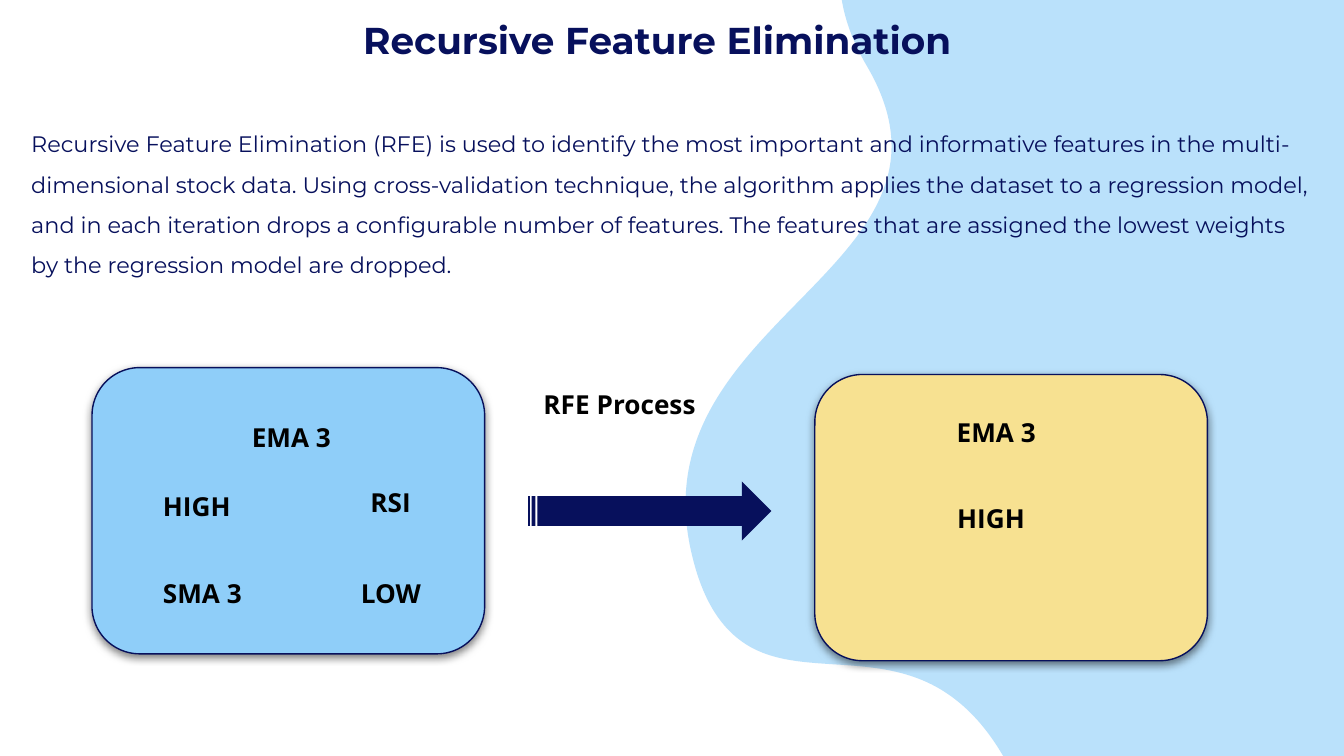
import math

import pptx
import pptx.util
import pptx.dml.color
import pptx.enum.shapes
import pptx.enum.text
import pptx.oxml
import pptx.oxml.ns

Cm, Pt = pptx.util.Cm, pptx.util.Pt
SHAPE = pptx.enum.shapes.MSO_SHAPE
ALIGN = pptx.enum.text.PP_ALIGN
qn = pptx.oxml.ns.qn
NS = pptx.oxml.ns.nsdecls("a")

# Content: boxes are left, top, width, height in cm
SLIDE = (25.4, 14.29)
TITLE = ("Recursive Feature Elimination", (3.05, 0.08, 18.75, 1.6))
BODY = (
    "Recursive Feature Elimination (RFE) is used to identify the most important and "
    "informative features in the multi-dimensional stock data. Using cross-validation "
    "technique, the algorithm applies the dataset to a regression model, and in each "
    "iteration drops a configurable number of features. The features that are assigned "
    "the lowest weights by the regression model are dropped.",
    (0.34, 1.96, 24.71, 3.61),
)
PANEL_SIZE = (7.42, 5.41)
PANELS = [("before", (1.74, 6.95)), ("after", (15.4, 7.08))]
ARROW = (9.98, 9.1, 4.6, 1.12)
LABELS = [
    ("EMA 3", (4.51, 7.72, 3.4, 2.31), ALIGN.LEFT),
    ("SMA 3", (2.83, 10.66, 2.82, 1.7), ALIGN.LEFT),
    ("RSI", (6.75, 8.94, 1.73, 1.7), ALIGN.LEFT),
    ("HIGH", (2.83, 9.02, 2.34, 1.12), ALIGN.LEFT),
    ("LOW", (6.57, 10.66, 1.73, 1.12), ALIGN.LEFT),
    ("EMA 3", (17.83, 7.62, 3.4, 2.31), ALIGN.LEFT),
    ("HIGH", (17.84, 9.25, 2.34, 1.12), ALIGN.LEFT),
    ("RFE Process", (9.64, 7.09, 4.14, 1.12), ALIGN.CENTER),
]

# Wave: unrotated box, turn in degrees, and its outline as it lies on the slide;
# one point is a move or a line, three points are a Bezier curve
WAVE_BOX = (10.82, -0.69, 26.14, 19.81)
WAVE_TURN = 210.7
WAVE = [
    ("moveTo", [(21.39, 19.25)]),
    ("cubicBezTo", [(23.14, 20.29), (25.55, 17.63), (28.42, 18.64)]),
    ("cubicBezTo", [(32.33, 20.02), (33.76, 11.3), (36.37, 11.4)]),
    ("cubicBezTo", [(37.39, 11.43), (38.07, 10.82), (38.56, 10.06)]),
    ("cubicBezTo", [(39.45, 8.64), (39.14, 6.88), (37.92, 6.15)]),
    ("lnTo", [(21.01, -4.01)]),
    ("cubicBezTo", [(21.01, -4.04), (20.98, -4.04), (20.98, -4.04)]),
    ("cubicBezTo", [(20.24, -4.47), (19.3, -4.45), (18.47, -3.94)]),
    ("cubicBezTo", [(16.94, -3.05), (14.91, -1.27), (16.38, 1.24)]),
    ("cubicBezTo", [(18.62, 5.05), (12.07, 5.99), (13.06, 10.41)]),
    ("cubicBezTo", [(13.28, 11.4), (13.67, 11.91), (14.12, 12.19)]),
    ("cubicBezTo", [(15.11, 12.8), (16.54, 12.29), (17.78, 13.03)]),
    ("cubicBezTo", [(18.54, 13.49), (19.23, 14.38), (19.74, 16.28)]),
    ("cubicBezTo", [(20.19, 18.01), (20.75, 18.88), (21.39, 19.25)]),
]

THEME = {
    "navy": "07105C",
    "before": "8FCEF9",
    "after": "F7E191",
    "wave_alpha": 61,
    "title": {"name": "Montserrat", "size": Pt(20), "bold": True, "color": "07105C"},
    "body": {"name": "Montserrat", "size": Pt(12), "bold": False, "color": "07105C"},
    "label": {"name": "Open Sans", "size": Pt(14), "bold": True, "color": "000000"},
}


def rgb(value):
    return pptx.dml.color.RGBColor.from_string(value)


def cm(box):
    return [Cm(v) for v in box]


def place(sp, box):
    for name, value in zip(("left", "top", "width", "height"), cm(box)):
        setattr(sp, name, value)


def write(sp, text, style, align, spacing=1.0):
    tf = sp.text_frame
    frame = {"word_wrap": True, "auto_size": pptx.enum.text.MSO_AUTO_SIZE.NONE,
             "vertical_anchor": pptx.enum.text.MSO_ANCHOR.TOP}
    frame.update({f"margin_{side}": Cm(0.25) for side in ("left", "top", "right", "bottom")})
    for name, value in frame.items():
        setattr(tf, name, value)
    p = tf.paragraphs[0]
    for name, value in {"alignment": align, "line_spacing": spacing,
                        "space_before": Pt(0)}.items():
        setattr(p, name, value)
    r = p.add_run()
    r.text = text
    for name in ("name", "size", "bold"):
        setattr(r.font, name, THEME[style][name])
    r.font.color.rgb = rgb(THEME[style]["color"])


def paint(sp, fill, line=None):
    sp.shadow.inherit = False
    sp.fill.solid()
    sp.fill.fore_color.rgb = rgb(fill)
    if line:
        sp.line.color.rgb = rgb(line)
        sp.line.width = Pt(0.75)
    else:
        sp.line.fill.background()


def add_shadow(sp):
    sp._element.spPr.find(qn("a:effectLst")).append(pptx.oxml.parse_xml(
        f'<a:outerShdw {NS} blurRad="{Pt(4.5)}" dist="{Pt(1.5)}" '
        'dir="5400000" algn="bl" rotWithShape="0">'
        '<a:srgbClr val="000000"><a:alpha val="50000"/></a:srgbClr></a:outerShdw>'))


def add_wave(s):
    left, top, width, height = WAVE_BOX
    angle = math.radians(-WAVE_TURN)
    cos, sin = math.cos(angle), math.sin(angle)

    def point_xml(point):
        """Turn a slide point back into the unrotated box."""
        dx, dy = point[0] - left - width / 2, point[1] - top - height / 2
        x, y = width / 2 + dx * cos - dy * sin, height / 2 + dx * sin + dy * cos
        return f'<a:pt x="{Cm(x)}" y="{Cm(y)}"/>'

    corners = [(left, top), (left + width, top), (left + width, top + height),
               (left, top + height)]
    builder = s.shapes.build_freeform(*cm(corners[0]))
    builder.add_line_segments([cm(corner) for corner in corners[1:]], close=True)
    sp = builder.convert_to_shape()

    # Curved outline in place of the straight one
    outline = sp._element.spPr.find(".//" + qn("a:path"))
    for child in list(outline):
        outline.remove(child)
    for command, points in WAVE:
        inner = "".join(point_xml(point) for point in points)
        outline.append(pptx.oxml.parse_xml(f"<a:{command} {NS}>{inner}</a:{command}>"))
    outline.append(pptx.oxml.parse_xml(f"<a:close {NS}/>"))

    sp.rotation = WAVE_TURN
    paint(sp, THEME["before"])
    sp._element.spPr.find(".//" + qn("a:srgbClr")).append(
        pptx.oxml.parse_xml(f'<a:alpha {NS} val="{THEME["wave_alpha"] * 1000}"/>'))
    s.shapes._spTree.insert(2, sp._element)


prs = pptx.Presentation()
prs.slide_width, prs.slide_height = cm(SLIDE)
s = prs.slides.add_slide(prs.slide_layouts[0])
title, body = s.placeholders

# Background wave, behind everything else
add_wave(s)

# Title and description
for sp, (text, box), style, align, spacing in (
        (title, TITLE, "title", ALIGN.CENTER, 1.0),
        (body, BODY, "body", ALIGN.LEFT, 1.5)):
    place(sp, box)
    write(sp, text, style, align, spacing)

# Feature panels before and after elimination
for fill, corner in PANELS:
    panel = s.shapes.add_shape(SHAPE.ROUNDED_RECTANGLE, *cm(corner + PANEL_SIZE))
    paint(panel, THEME[fill], THEME["navy"])
    add_shadow(panel)

# Labels
for text, box, align in LABELS:
    write(s.shapes.add_textbox(*cm(box)), text, "label", align)

# Process arrow
arrow = s.shapes.add_shape(SHAPE.STRIPED_RIGHT_ARROW, *cm(ARROW))
paint(arrow, THEME["navy"])

prs.save("out.pptx")
